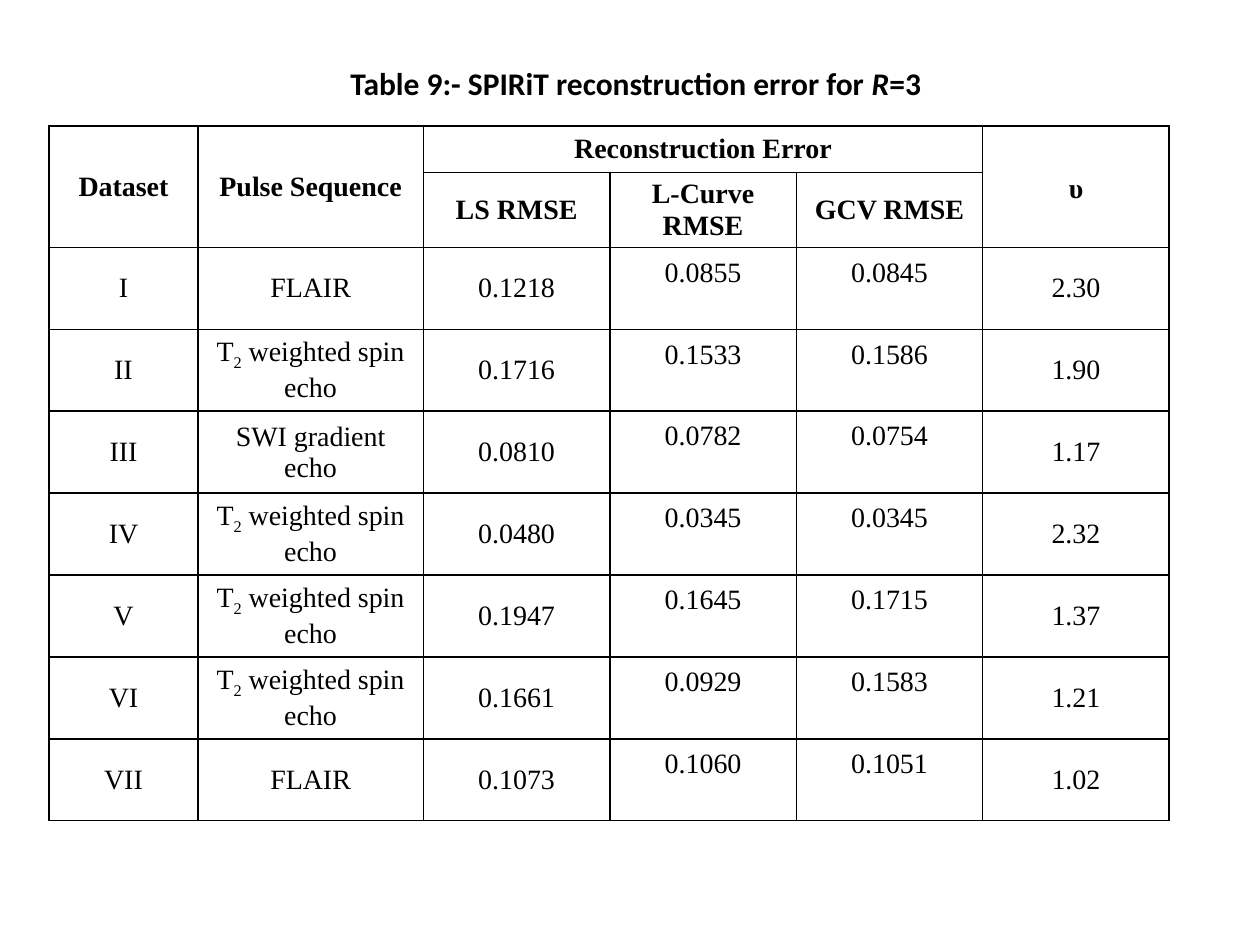
from lxml import etree
from pptx import Presentation
from pptx.dml.color import RGBColor
from pptx.enum import text
from pptx.oxml.ns import qn
from pptx.util import Inches, Pt

BLACK = "000000"
HEAD = [
    ["Dataset", "Pulse Sequence", "Reconstruction Error", "", "", "υ"],
    ["", "", "LS RMSE", "L-Curve RMSE", "GCV RMSE", ""],
]
SPIN = "T|2| weighted spin echo"
DATA = [
    ["I", "FLAIR", "0.1218", "0.0855", "0.0845", "2.30"],
    ["II", SPIN, "0.1716", "0.1533", "0.1586", "1.90"],
    ["III", "SWI gradient echo", "0.0810", "0.0782", "0.0754", "1.17"],
    ["IV", SPIN, "0.0480", "0.0345", "0.0345", "2.32"],
    ["V", SPIN, "0.1947", "0.1645", "0.1715", "1.37"],
    ["VI", SPIN, "0.1661", "0.0929", "0.1583", "1.21"],
    ["VII", "FLAIR", "0.1073", "0.1060", "0.1051", "1.02"],
]
WIDTHS = [1.18, 1.79] + [1.48] * 4
HEIGHTS = [0.37] * 2 + [0.65] * 7
MERGES = [(0, 0, 1, 0), (0, 1, 1, 1), (0, 2, 0, 4), (0, 5, 1, 5)]


def paint(code):
    return RGBColor.from_string(code)


def write(par, words, **form):
    par.alignment = text.PP_ALIGN.CENTER
    run = par.add_run()
    run.text = words
    run.font.color.rgb = paint(BLACK)
    for key, value in form.items():
        setattr(run.font, key, value)
    return run


def border(cell):
    props = cell._tc.get_or_add_tcPr()
    for i, side in enumerate(("lnL", "lnR", "lnT", "lnB")):
        line = etree.Element(qn("a:" + side), w=str(Pt(1)))
        fill = etree.SubElement(line, qn("a:solidFill"))
        etree.SubElement(fill, qn("a:srgbClr"), val=BLACK)
        props.insert(i, line)


def title(slide, left, top, width, height):
    box = slide.shapes.add_textbox(*map(Inches, (left, top, width, height)))
    frame = box.text_frame
    frame.word_wrap = True
    frame.auto_size = text.MSO_AUTO_SIZE.SHAPE_TO_FIT_TEXT
    parts = [("Table 9:- SPIRiT reconstruction error for ", False),
             ("R", True), ("=3", False)]
    for words, slant in parts:
        write(frame.paragraphs[0], words, name="Calibri", size=Pt(18),
              bold=True, italic=slant)


def grid(slide, left, top):
    rows = HEAD + DATA
    size = (left, top, sum(WIDTHS), sum(HEIGHTS))
    table = slide.shapes.add_table(len(rows), len(WIDTHS),
                                   *map(Inches, size)).table
    table.first_row = table.horz_banding = False
    for col, width in zip(table.columns, WIDTHS):
        col.width = Inches(width)
    for row, height in zip(table.rows, HEIGHTS):
        row.height = Inches(height)
    for r, row in enumerate(rows):
        for c, words in enumerate(row):
            cell = table.cell(r, c)
            cell.fill.background()
            cell.vertical_anchor = text.MSO_ANCHOR.MIDDLE
            border(cell)
            body = r >= len(HEAD)
            if body and c in (3, 4):
                cell.margin_bottom = Inches(0.3)
            par = cell.text_frame.paragraphs[0]
            for i, part in enumerate(words.split("|") if words else []):
                run = write(par, part, name="Times New Roman",
                            size=Pt(16), bold=not body)
                if i == 1:
                    run.font._element.set("baseline", "-25000")
    for r, c, last, end in MERGES:
        table.cell(r, c).merge(table.cell(last, end))
    table.cell(0, 5).text_frame.paragraphs[0].line_spacing = 1.15


def main():
    deck = Presentation()
    deck.slide_width, deck.slide_height = Inches(10), Inches(7.5)
    slide = deck.slides.add_slide(deck.slide_layouts[6])
    grid(slide, 0.39, 1)
    title(slide, 2.07, 0.46, 5.95, 0.4)
    deck.save("out.pptx")


if __name__ == "__main__":
    main()
